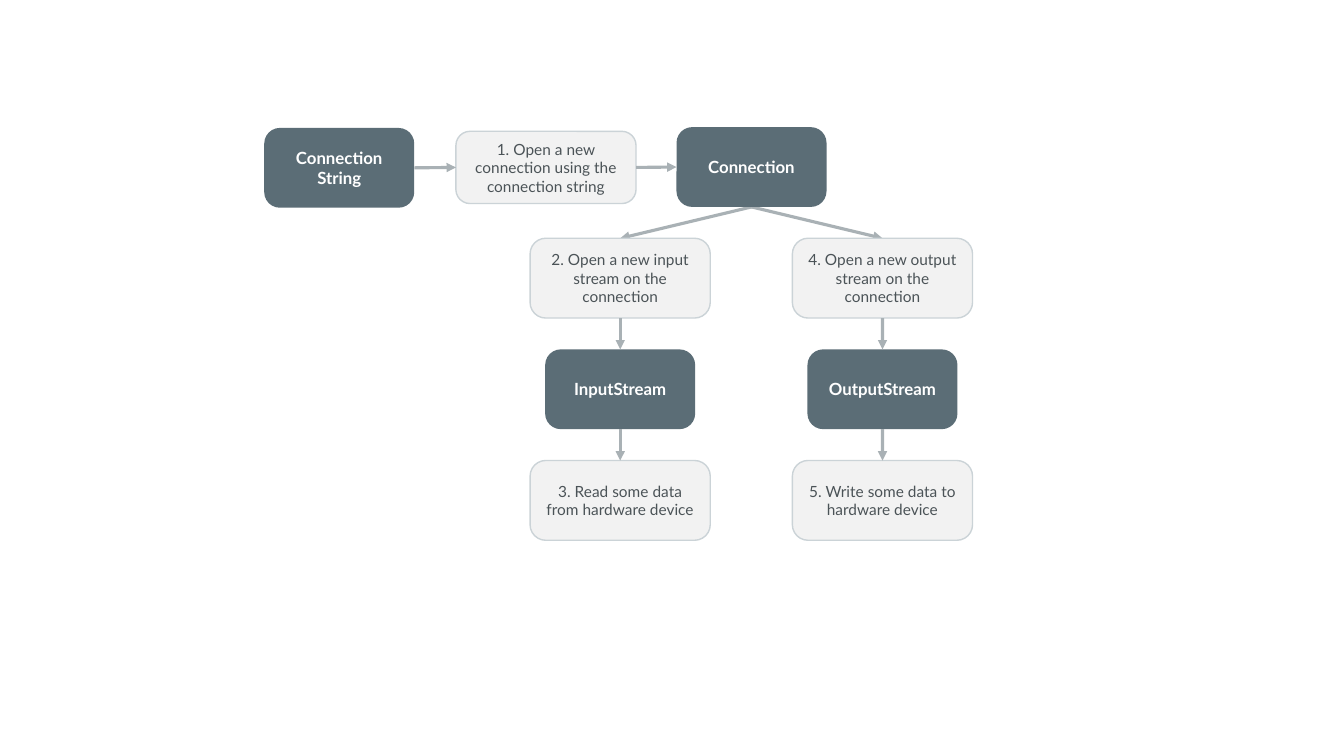
"""Build a flow chart slide showing how a connection opens its streams."""
from dataclasses import dataclass

from lxml import etree
from pptx import Presentation
from pptx.dml.color import RGBColor
from pptx.enum.shapes import MSO_CONNECTOR, MSO_SHAPE
from pptx.enum.text import MSO_ANCHOR, MSO_AUTO_SIZE, PP_ALIGN
from pptx.oxml.ns import qn
from pptx.shapes.autoshape import Shape
from pptx.slide import Slide
from pptx.util import Cm, Pt

ROUNDED = MSO_SHAPE.ROUNDED_RECTANGLE
STRAIGHT = MSO_CONNECTOR.STRAIGHT
MIDDLE = MSO_ANCHOR.MIDDLE
GROW = MSO_AUTO_SIZE.SHAPE_TO_FIT_TEXT
CENTER = PP_ALIGN.CENTER
TOP, LEFT, BOTTOM, RIGHT = range(4)

COLORS = {
    "object": "5B6D76",
    "object_text": "FFFFFF",
    "step": "F2F2F2",
    "step_text": "4B5357",
    "step_line": "CBD3D7",
    "arrow": "A9B1B5",
}
FONTS = {
    "object": {"name": "Lato", "size": Pt(12), "bold": True},
    "step": {"name": "Lato", "size": Pt(11), "bold": False},
}
FRAME = {
    "word_wrap": True,
    "auto_size": GROW,
    "vertical_anchor": MIDDLE,
    "margin_left": Cm(0.25),
    "margin_right": Cm(0.25),
    "margin_top": Cm(0.1),
    "margin_bottom": Cm(0.1),
}
WIDTHS = {"object": 3.78, "step": 4.54}
BOX_HEIGHT = 2.01
INPUT_X, OUTPUT_X = 15.63, 22.24
ROW_Y = [4.21 + 2.8 * row for row in range(4)]


@dataclass(frozen=True)
class Box:
    """A rounded box placed by its centre, in centimetres."""
    key: str
    kind: str
    text: str
    x: float
    y: float
    height: float = BOX_HEIGHT


@dataclass(frozen=True)
class Arrow:
    """An arrow from a side of one box to a side of another."""
    source: str
    target: str
    source_side: int = BOTTOM
    target_side: int = TOP
    behind: bool = False


BOXES = [
    Box("string", "object", "Connection String", 8.55, 4.23),
    Box("connection", "object", "Connection", 18.94, ROW_Y[0]),
    Box("open", "step", "1. Open a new connection using the connection string",
        13.76, 4.22, 1.82),
    Box("open_input", "step", "2. Open a new input stream on the connection",
        INPUT_X, ROW_Y[1]),
    Box("input", "object", "InputStream", INPUT_X, ROW_Y[2]),
    Box("read", "step", "3. Read some data from hardware device",
        INPUT_X, ROW_Y[3]),
    Box("open_output", "step", "4. Open a new output stream on the connection",
        OUTPUT_X, ROW_Y[1]),
    Box("output", "object", "OutputStream", OUTPUT_X, ROW_Y[2]),
    Box("write", "step", "5. Write some data to hardware device",
        OUTPUT_X, ROW_Y[3]),
]
ARROWS = [
    Arrow("string", "open", RIGHT, LEFT),
    Arrow("open", "connection", RIGHT, LEFT),
    Arrow("connection", "open_input", behind=True),
    Arrow("connection", "open_output", behind=True),
    Arrow("open_input", "input"),
    Arrow("open_output", "output"),
    Arrow("input", "read"),
    Arrow("output", "write"),
]


def color(name: str) -> RGBColor:
    """Return a named colour."""
    return RGBColor.from_string(COLORS[name])


def set_all(target: object, values: dict[str, object]) -> None:
    """Set each named attribute on the target."""
    for name, value in values.items():
        setattr(target, name, value)


def draw_box(s: Slide, box: Box) -> Shape:
    """Draw one box with its centred text."""
    width = WIDTHS[box.kind]
    sp = s.shapes.add_shape(ROUNDED, Cm(box.x - width / 2),
                            Cm(box.y - box.height / 2), Cm(width), Cm(box.height))
    sp.adjustments[0] = 0.196
    sp.shadow.inherit = False
    sp.fill.solid()
    sp.fill.fore_color.rgb = color(box.kind)
    if box.kind == "step":
        sp.line.color.rgb = color("step_line")
        sp.line.width = Pt(1)
    else:
        sp.line.fill.background()
    tf = sp.text_frame
    set_all(tf, FRAME)
    p = tf.paragraphs[0]
    p.alignment = CENTER
    r = p.add_run()
    r.text = box.text
    set_all(r.font, FONTS[box.kind])
    r.font.color.rgb = color(f"{box.kind}_text")
    return sp


def draw_arrow(s: Slide, arrow: Arrow, shapes: dict[str, Shape]) -> None:
    """Join two boxes with the arrowhead at the target."""
    line = s.shapes.add_connector(STRAIGHT, 0, 0, 0, 0)
    line.begin_connect(shapes[arrow.target], arrow.target_side)
    line.end_connect(shapes[arrow.source], arrow.source_side)
    line.line.color.rgb = color("arrow")
    line.line.width = Pt(2.25)
    ln = line.line._get_or_add_ln()
    etree.SubElement(ln, qn("a:headEnd"), type="triangle")
    etree.SubElement(ln.getparent(), qn("a:effectLst"))
    if arrow.behind:
        s.shapes._spTree.insert(2, line._element)


def main() -> None:
    """Build and save the slide."""
    prs = Presentation()
    prs.slide_width, prs.slide_height = Cm(33.87), Cm(19.05)
    s = prs.slides.add_slide(prs.slide_layouts[6])
    shapes = {box.key: draw_box(s, box) for box in BOXES}
    for arrow in ARROWS:
        draw_arrow(s, arrow, shapes)
    prs.save("out.pptx")


if __name__ == "__main__":
    main()
